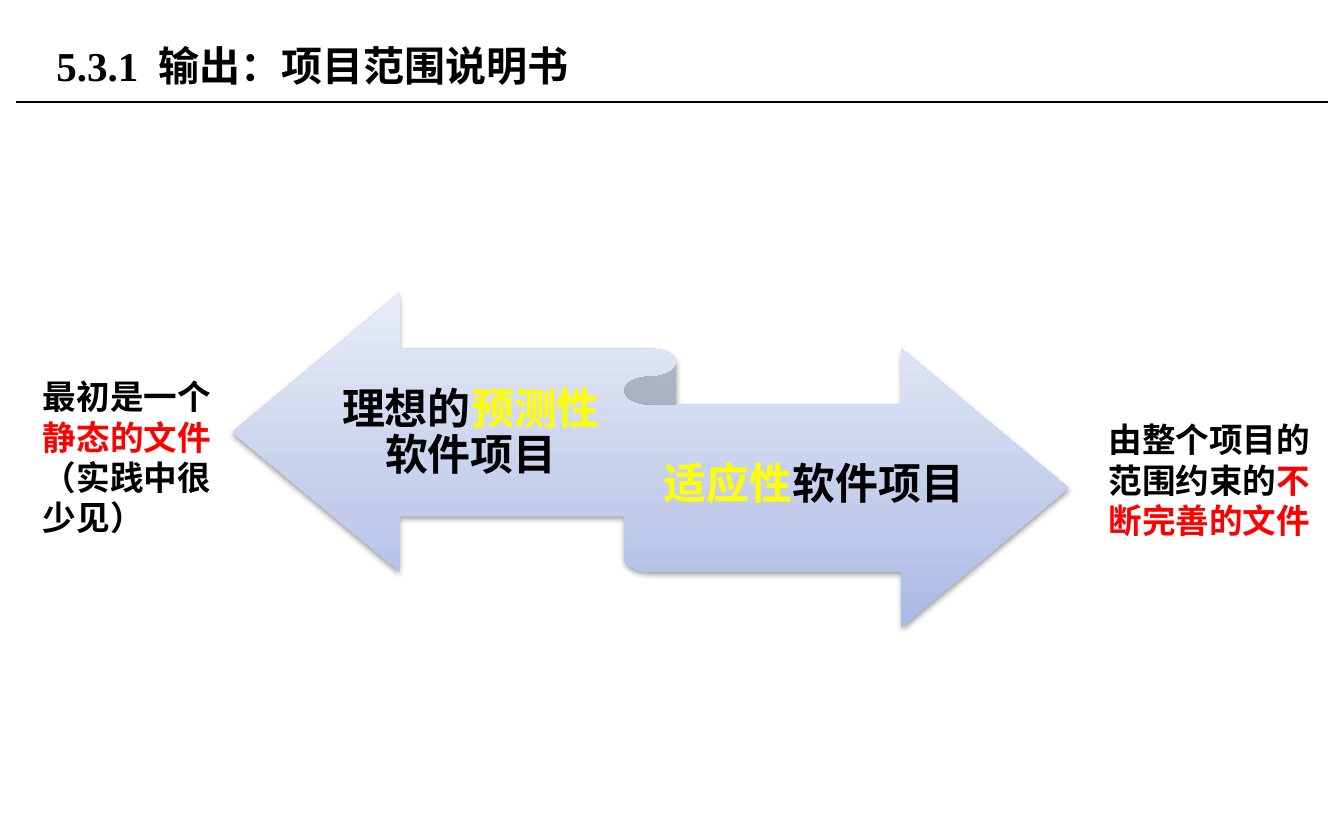
from lxml.etree import SubElement
from pptx import Presentation
from pptx.dml.color import RGBColor
from pptx.enum.shapes import MSO_CONNECTOR, MSO_SHAPE
from pptx.enum.text import MSO_ANCHOR as ANCHOR, MSO_AUTO_SIZE as AUTO_SIZE, PP_ALIGN as ALIGN
from pptx.oxml.ns import qn
from pptx.util import Inches, Pt

BLACK = RGBColor(0x00, 0x00, 0x00)
RED = RGBColor(0xFF, 0x00, 0x00)
YELLOW = RGBColor(0xFF, 0xFF, 0x00)
RIBBON_STOPS = [
    (0, RGBColor(0xA9, 0xB8, 0xE4)),
    (35, RGBColor(0xC3, 0xCD, 0xEB)),
    (100, RGBColor(0xE8, 0xEC, 0xF8)),
]
FONT = "Times New Roman"


def add_runs(p, runs, size):
    for text, color in runs:
        r = p.add_run()
        r.text = text
        r.font.name = FONT
        r.font.size = Pt(size)
        r.font.bold = True
        r.font.color.rgb = color


def place(sp, box):
    sp.left, sp.top, sp.width, sp.height = [Inches(v) for v in box]


def add_title(s, text):
    sp = s.shapes.title
    place(sp, (0.32, 0.13, 7.28, 0.71))
    tf = sp.text_frame
    tf.vertical_anchor = ANCHOR.MIDDLE
    tf.auto_size = AUTO_SIZE.NONE
    p = tf.paragraphs[0]
    p.alignment = ALIGN.LEFT
    add_runs(p, [(text, BLACK)], 22)


def add_rule(s):
    y = Inches(0.76)
    line = s.shapes.add_connector(MSO_CONNECTOR.STRAIGHT, Inches(0.12), y, Inches(9.88), y)
    line.line.color.rgb = BLACK
    line.line.width = Pt(0.75)
    SubElement(line._element.spPr, qn("a:effectLst"))


def set_gradient(sp, stops):
    sp.fill.gradient()
    sp.fill.gradient_angle = 90
    gs_list = sp._element.spPr.find(".//" + qn("a:gsLst"))
    for gs in list(gs_list):
        gs_list.remove(gs)
    for pos, color in stops:
        gs = SubElement(gs_list, qn("a:gs"), pos=str(pos * 1000))
        SubElement(gs, qn("a:srgbClr"), val=str(color))


def set_shadow(sp):
    sp.shadow.inherit = False
    effects = sp._element.spPr.find(qn("a:effectLst"))
    shadow = SubElement(effects, qn("a:outerShdw"), blurRad=str(Pt(3.1)), dist=str(Pt(1.6)),
                        dir="5400000", rotWithShape="0")
    color = SubElement(shadow, qn("a:srgbClr"), val=str(BLACK))
    SubElement(color, qn("a:alpha"), val="38000")


def add_ribbon(group):
    sp = group.shapes.add_shape(MSO_SHAPE.LEFT_RIGHT_RIBBON, Inches(1.73), Inches(2.18),
                                Inches(6.22), Inches(2.49))
    set_gradient(sp, RIBBON_STOPS)
    sp.line.fill.background()
    set_shadow(sp)


def add_text(parent, box, runs, size):
    tf = parent.shapes.add_textbox(*[Inches(v) for v in box]).text_frame
    tf.word_wrap = True
    add_runs(tf.paragraphs[0], runs, size)
    return tf


def add_ribbon_label(group, box, runs):
    tf = add_text(group, box, runs, 23)
    tf.vertical_anchor = ANCHOR.MIDDLE
    tf.margin_left = tf.margin_right = 0
    tf.margin_top, tf.margin_bottom = Inches(0.09), Inches(0.1)
    p = tf.paragraphs[0]
    p.alignment = ALIGN.CENTER
    p.line_spacing = 0.9


def add_note(s, box, runs):
    tf = add_text(s, box, runs, 18)
    tf.auto_size = AUTO_SIZE.SHAPE_TO_FIT_TEXT


def main():
    prs = Presentation()
    prs.slide_width, prs.slide_height = Inches(10), Inches(6.25)
    s = prs.slides.add_slide(prs.slide_layouts[5])
    add_rule(s)
    add_title(s, "5.3.1  输出：项目范围说明书")

    group = s.shapes.add_group_shape()
    add_ribbon(group)
    add_ribbon_label(group, (2.48, 2.62, 2.05, 1.22),
                     [("理想的", BLACK), ("预测性", YELLOW), ("软件项目", BLACK)])
    add_ribbon_label(group, (4.84, 3.01, 2.43, 1.22),
                     [("适应性", YELLOW), ("软件项目", BLACK)])

    add_note(s, (0.22, 2.75, 1.65, 1.31),
             [("最初是一个", BLACK), ("静态的文件", RED), ("（实践中很少见）", BLACK)])
    add_note(s, (8.15, 3.07, 1.81, 1.01),
             [("由整个项目的范围约束的", BLACK), ("不断完善的文件", RED)])
    prs.save("out.pptx")


if __name__ == "__main__":
    main()
